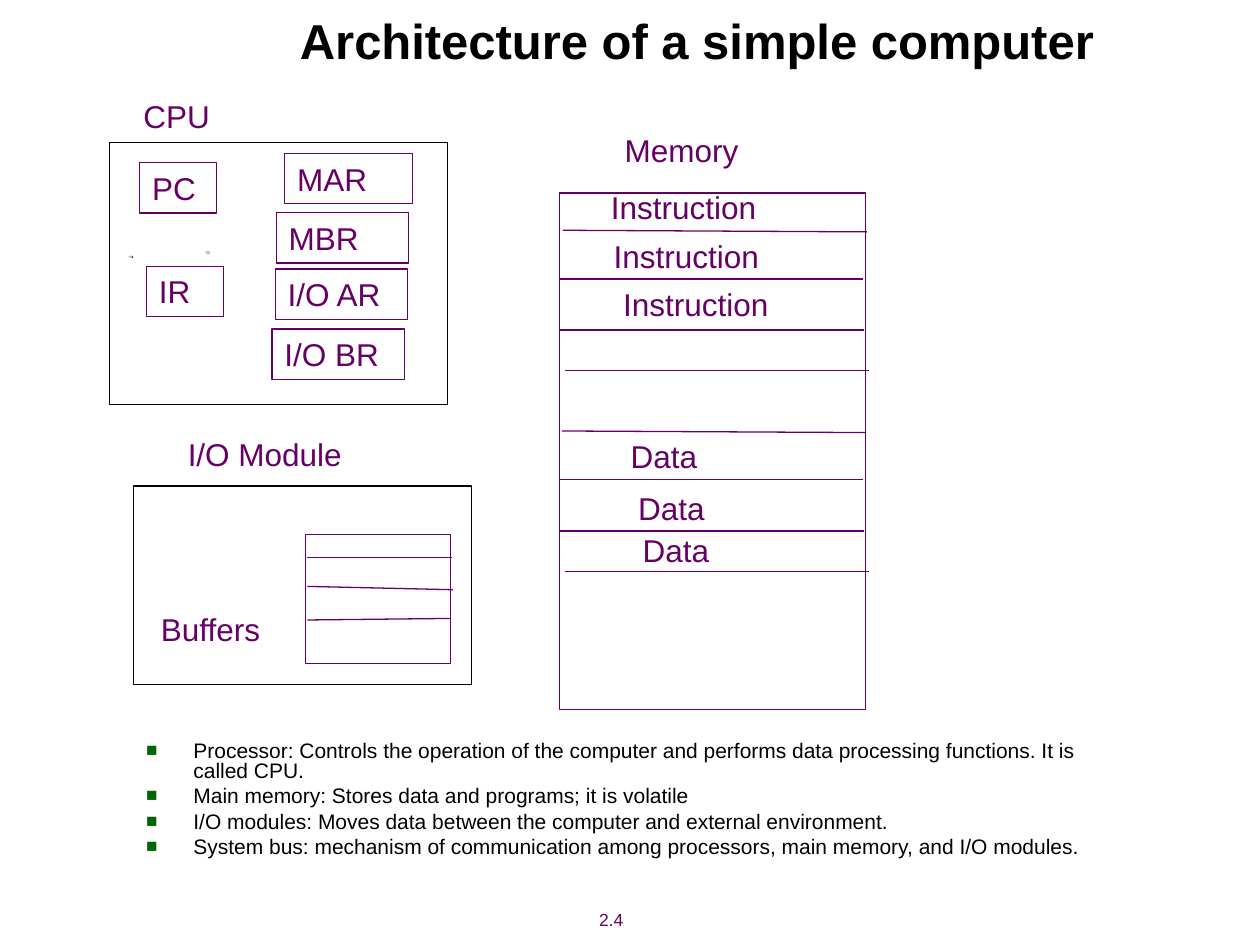
from dataclasses import dataclass
from typing import NamedTuple

from lxml import etree
from pptx import Presentation
from pptx.dml.color import RGBColor
from pptx.enum.shapes import MSO_CONNECTOR, MSO_SHAPE
from pptx.enum.text import MSO_ANCHOR, MSO_AUTO_SIZE, PP_ALIGN
from pptx.oxml.ns import qn
from pptx.util import Pt

RECTANGLE = MSO_SHAPE.RECTANGLE
STRAIGHT = MSO_CONNECTOR.STRAIGHT
TOP, MIDDLE = MSO_ANCHOR.TOP, MSO_ANCHOR.MIDDLE
LEFT, CENTER = PP_ALIGN.LEFT, PP_ALIGN.CENTER
GROW, FIXED = MSO_AUTO_SIZE.SHAPE_TO_FIT_TEXT, MSO_AUTO_SIZE.NONE


@dataclass(frozen=True)
class Theme:
    font: str = "Arial"
    black: str = "000000"
    purple: str = "660066"
    green: str = "006600"
    navy: str = "284C70"
    mist: str = "BFCCD8"
    title: float = 28
    label: float = 18
    body: float = 12
    footer: float = 10
    stroke: float = 0.75


THEME = Theme()


class Box(NamedTuple):
    left: float
    top: float
    width: float
    height: float


class Label(NamedTuple):
    text: str
    box: Box


class Divider(NamedTuple):
    left: float
    top: float
    width: float
    drop: float = 0


class Speck(NamedTuple):
    outline: list
    color: str


LABEL_H = 28.8
REGISTER_W = 75.6
ROW_W = 173.7

CPU_FRAME = Box(62.6, 81.4, 193, 149.8)
CPU_LABEL = Label("CPU", Box(74.9, 52, 52.6, LABEL_H))
REGISTERS = [
    Label("PC", Box(79.9, 93, 44, LABEL_H)),
    Label("IR", Box(83.8, 152.2, 44, LABEL_H)),
    Label("MAR", Box(162.7, 87.7, 73.2, LABEL_H)),
    Label("MBR", Box(157.9, 121.5, REGISTER_W, LABEL_H)),
    Label("I/O AR", Box(157.3, 153.7, REGISTER_W, LABEL_H)),
    Label("I/O BR", Box(155.4, 188, REGISTER_W, LABEL_H)),
]

IO_FRAME = Box(76.3, 277.7, 193, 113.3)
BUFFER_FRAME = Box(174.7, 305.4, 82.6, 73.8)
IO_LABELS = [
    Label("I/O Module", Box(100.2, 245.2, 102.2, LABEL_H)),
    Label("Buffers", Box(84.9, 345.2, 71.3, LABEL_H)),
]
BUFFER_DIVIDERS = [
    Divider(175.7, 318.7, 82.5),
    Divider(175.7, 335.1, 83.3, 1.9),
    Divider(175.7, 354.3, 81.4, -0.9),
]

MEMORY_FRAME = Box(319.7, 110.3, 175, 295)
MEMORY_LABELS = [
    Label("Memory", Box(349.9, 71.6, 79.2, LABEL_H)),
    Label("Instruction", Box(342, 104, 97.2, LABEL_H)),
    Label("Instruction", Box(343.6, 132, 97.2, LABEL_H)),
    Label("Instruction", Box(349, 159.3, 97.2, LABEL_H)),
    Label("Data", Box(353.3, 246.2, 52.6, LABEL_H)),
    Label("Data", Box(357.6, 275.8, 52.6, LABEL_H)),
    Label("Data", Box(360.1, 300, 52.6, LABEL_H)),
]
MEMORY_DIVIDERS = [
    Divider(321.7, 131.6, ROW_W, 0.9),
    Divider(319.7, 159.4, ROW_W),
    Divider(320.2, 188.6, ROW_W),
    Divider(323.1, 211.6, ROW_W),
    Divider(321.1, 246.3, ROW_W, 0.9),
    Divider(319.3, 274.1, ROW_W),
    Divider(319.8, 303.4, ROW_W),
    Divider(322.7, 326.4, ROW_W),
]

# Outlines in tenths of a point
SPECKS = [
    Speck([(734, 1469), (742, 1462), (756, 1462), (763, 1469),
           (756, 1476), (742, 1469)], THEME.navy),
    Speck([(734, 1469), (742, 1462), (749, 1462), (756, 1469),
           (749, 1476), (742, 1469)], THEME.mist),
    Speck([(1174, 1440), (1181, 1433), (1195, 1433), (1202, 1440),
           (1202, 1447), (1195, 1454), (1181, 1454), (1174, 1447)], THEME.mist),
]

ROLES = [
    "Processor: Controls the operation of the computer and performs data "
    "processing functions. It is called CPU.",
    "Main memory: Stores data and programs; it is volatile",
    "I/O modules: Moves data between the computer and external environment.",
    "System bus: mechanism of communication among processors, main memory, "
    "and I/O modules.",
]


def points(box: Box) -> list:
    return [Pt(length) for length in box]


def write(paragraph, text: str, *, size=THEME.label, color=THEME.purple,
          bold=False, align=LEFT) -> None:
    paragraph.alignment = align
    run = paragraph.add_run()
    run.text = text
    run.font.name, run.font.size, run.font.bold = THEME.font, Pt(size), bold
    run.font.color.rgb = RGBColor.from_string(color)


def fit(frame, *, wrap=True, anchor=TOP, auto_size=GROW) -> None:
    frame.word_wrap, frame.vertical_anchor, frame.auto_size = wrap, anchor, auto_size


def place(shape, box: Box) -> None:
    shape.left, shape.top, shape.width, shape.height = points(box)


def add_label(shapes, label: Label, *, anchor=TOP, **style) -> None:
    frame = shapes.add_textbox(*points(label.box)).text_frame
    fit(frame, wrap=False, anchor=anchor)
    write(frame.paragraphs[0], label.text, **style)


def add_frame(shapes, box: Box, color: str, text: str = "") -> None:
    outline = shapes.add_shape(RECTANGLE, *points(box))
    outline.shadow.inherit = False
    outline.fill.background()
    outline.line.color.rgb = RGBColor.from_string(color)
    outline.line.width = Pt(THEME.stroke)
    if text:
        fit(outline.text_frame)
        write(outline.text_frame.paragraphs[0], text)


def add_divider(shapes, divider: Divider) -> None:
    left, top, width, drop = divider
    rule = shapes.add_connector(STRAIGHT, Pt(left), Pt(top),
                                Pt(left + width), Pt(top + drop))
    rule.line.color.rgb = RGBColor.from_string(THEME.purple)
    rule.line.width = Pt(THEME.stroke)
    etree.SubElement(rule._element.spPr, qn("a:effectLst"))


def add_speck(shapes, speck: Speck) -> None:
    builder = shapes.build_freeform(*speck.outline[0], scale=Pt(0.1))
    builder.add_line_segments(speck.outline[1:], close=True)
    blob = builder.convert_to_shape()
    blob.shadow.inherit = False
    blob.fill.solid()
    blob.fill.fore_color.rgb = RGBColor.from_string(speck.color)
    blob.line.fill.background()


def set_bullet(paragraph) -> None:
    properties = paragraph._p.get_or_add_pPr()
    properties.set("marL", str(Pt(27)))
    properties.set("indent", str(Pt(-27)))
    color = etree.SubElement(properties, qn("a:buClr"))
    etree.SubElement(color, qn("a:srgbClr"), val=THEME.green)
    etree.SubElement(properties, qn("a:buSzPct"), val="90000")
    etree.SubElement(properties, qn("a:buFont"), typeface=THEME.font)
    etree.SubElement(properties, qn("a:buChar"), char="■")


def fill_roles(body) -> None:
    place(body, Box(76.3, 420.5, 553.7, 84.2))
    frame = body.text_frame
    fit(frame, auto_size=FIXED)
    for index, role in enumerate(ROLES):
        paragraph = frame.add_paragraph() if index else frame.paragraphs[0]
        set_bullet(paragraph)
        paragraph.line_spacing = 0.8
        paragraph.space_before = Pt(3 if index else 0)
        write(paragraph, role, size=THEME.body, color=THEME.black)


def main() -> None:
    deck = Presentation()
    deck.slide_width, deck.slide_height = Pt(720), Pt(540)
    slide = deck.slides.add_slide(deck.slide_layouts[1])
    title, body = slide.placeholders

    add_label(slide.shapes, Label("2.4", Box(315.4, 515.5, 67.7, 19.4)),
              anchor=MIDDLE, size=THEME.footer, align=CENTER)
    for speck in SPECKS:
        add_speck(slide.shapes, speck)

    place(title, Box(92.2, 0, 612, 46))
    fit(title.text_frame, anchor=MIDDLE, auto_size=FIXED)
    write(title.text_frame.paragraphs[0], "Architecture of a simple computer",
          size=THEME.title, color=THEME.black, bold=True, align=CENTER)
    fill_roles(body)

    cpu = slide.shapes.add_group_shape().shapes
    add_frame(cpu, CPU_FRAME, THEME.black)
    for register in REGISTERS:
        add_frame(cpu, register.box, THEME.purple, register.text)
    add_label(cpu, CPU_LABEL)

    io_module = slide.shapes.add_group_shape().shapes
    add_frame(io_module, IO_FRAME, THEME.black)
    memory = slide.shapes.add_group_shape().shapes
    for part, frame, dividers, labels in (
            (io_module, BUFFER_FRAME, BUFFER_DIVIDERS, IO_LABELS),
            (memory, MEMORY_FRAME, MEMORY_DIVIDERS, MEMORY_LABELS)):
        add_frame(part, frame, THEME.purple)
        for divider in dividers:
            add_divider(part, divider)
        for label in labels:
            add_label(part, label)

    deck.save("out.pptx")


if __name__ == "__main__":
    main()
